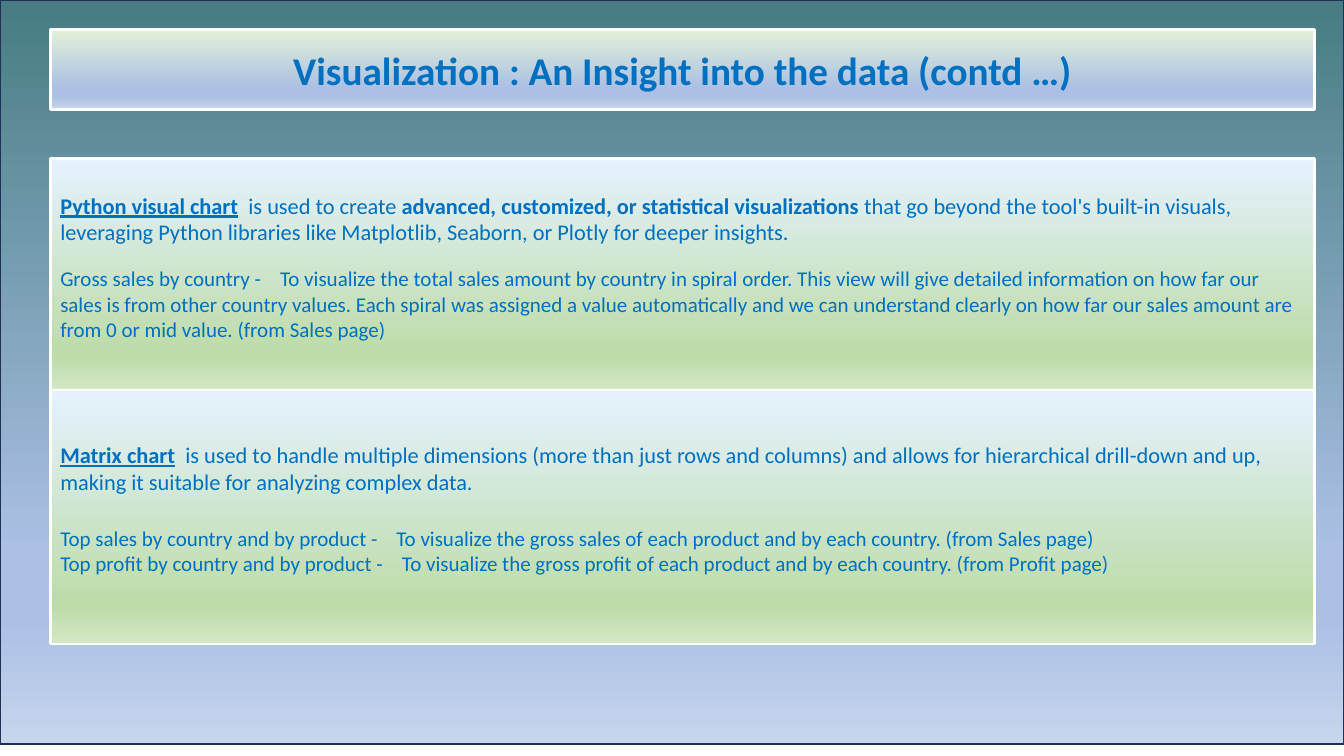
"""Build the slide on visualization insights: a title bar above two chart descriptions."""
import pptx
import pptx.util
import pptx.dml.color
import pptx.enum.shapes
import pptx.enum.text
import pptx.oxml.ns
from lxml import etree

Cm, Pt = pptx.util.Cm, pptx.util.Pt
RGBColor = pptx.dml.color.RGBColor
qn = pptx.oxml.ns.qn
RECTANGLE = pptx.enum.shapes.MSO_SHAPE.RECTANGLE

BLUE = RGBColor(0x00, 0x70, 0xC0)
WHITE = RGBColor(0xFF, 0xFF, 0xFF)
NAVY = RGBColor(0x1E, 0x32, 0x56)
TEAL = RGBColor(0x46, 0x7C, 0x82)
MINT = RGBColor(0xE2, 0xF0, 0xD9)
PERIWINKLE = RGBColor(0xAB, 0xC0, 0xE4)
PALE_BLUE = RGBColor(0xC7, 0xD5, 0xED)
ICE = RGBColor(0xE6, 0xF2, 0xFF)
GREEN = RGBColor(0xBE, 0xDC, 0xAA)
PALE_GREEN = RGBColor(0xD4, 0xE8, 0xC6)

BLUE_END = [(74, PERIWINKLE), (83, PERIWINKLE), (100, PALE_BLUE)]
BACKDROP_STOPS = [(0, TEAL)] + BLUE_END
TITLE_STOPS = [(0, MINT)] + BLUE_END
PANEL_STOPS = [(0, ICE), (83, GREEN), (86, GREEN), (100, PALE_GREEN)]

LEFT, WIDTH = Cm(1.27), Cm(31.85)
HEADING = {"bold": True, "underline": True}
BOLD = {"bold": True}
PLAIN = {"bold": False}


def paint(s, stops, line_color, line_width):
    """Give a shape a top-to-bottom gradient and an outline."""
    s.shadow.inherit = False
    s.fill.gradient()
    s.fill.gradient_angle = 270
    gradient = s._element.spPr.find(qn("a:gradFill")).find(qn("a:gsLst"))
    for gs in list(gradient):
        gradient.remove(gs)
    for percent, color in stops:
        gs = etree.SubElement(gradient, qn("a:gs"), pos=str(percent * 1000))
        etree.SubElement(gs, qn("a:srgbClr"), val=str(color))
    s.line.color.rgb = line_color
    s.line.width = Pt(line_width)


def add_text(p, text, size, formats):
    """Add a blue Calibri run with the given format values."""
    r = p.add_run()
    r.text = text
    r.font.color.rgb = BLUE
    for name, value in {"name": "Calibri", "size": Pt(size), **formats}.items():
        setattr(r.font, name, value)


prs = pptx.Presentation()
prs.slide_width, prs.slide_height = Cm(33.87), Cm(19.05)
slide = prs.slides.add_slide(prs.slide_layouts[5])

backdrop = slide.shapes.add_shape(RECTANGLE, 0, 0, prs.slide_width, Cm(18.75))
paint(backdrop, BACKDROP_STOPS, NAVY, 1)

# Each paragraph: size, space before, tab stop in cm, runs
panels = [
    (3.99, 5.84, 0.84, [
        (16, 0, 4.74, [
            ("Python visual chart", HEADING),
            ("\tis used to create ", PLAIN),
            ("advanced, customized, or statistical visualizations", BOLD),
            (" that go beyond the tool's built-in visuals, leveraging Python libraries "
             "like Matplotlib, Seaborn, or Plotly for deeper insights.", PLAIN)]),
        (15, 14.6, 5.54, [
            ("Gross sales by country -\tTo visualize the total sales amount by country in "
             "spiral order. This view will give detailed information on how far our sales is "
             "from other country values. Each spiral was assigned a value automatically and "
             "we can understand clearly on how far our sales amount are from 0 or mid value. "
             "(from Sales page)", PLAIN)]),
    ]),
    (9.83, 6.4, 1.28, [
        (16, 0, 3.15, [
            ("Matrix chart", HEADING),
            ("\tis used to handle multiple dimensions (more than just rows and columns) and "
             "allows for hierarchical drill-down and up, making it suitable for analyzing "
             "complex data.", PLAIN)]),
        (15, 22, 8.47, [
            ("Top sales by country and by product -\tTo visualize the gross sales of each "
             "product and by each country. (from Sales page)", PLAIN)]),
        (15, 0, 8.61, [
            ("Top profit by country and by product -\tTo visualize the gross profit of each "
             "product and by each country. (from Profit page)", PLAIN)]),
    ]),
]

for top, height, inset, paragraphs in panels:
    s = slide.shapes.add_shape(RECTANGLE, LEFT, Cm(top), WIDTH, Cm(height))
    paint(s, PANEL_STOPS, WHITE, 2)
    tf = s.text_frame
    for name, value in {"word_wrap": True, "margin_top": Cm(inset),
                        "margin_left": Cm(0.25), "margin_right": Cm(0.25),
                        "vertical_anchor": pptx.enum.text.MSO_ANCHOR.TOP}.items():
        setattr(tf, name, value)
    for i, (size, gap, tab, runs) in enumerate(paragraphs):
        p = tf.add_paragraph() if i else tf.paragraphs[0]
        tabs = etree.SubElement(p._p.get_or_add_pPr(), qn("a:tabLst"))
        etree.SubElement(tabs, qn("a:tab"), pos=str(Cm(tab)), algn="l")
        p.alignment = pptx.enum.text.PP_ALIGN.LEFT
        p.space_before = Pt(gap)
        for text, formats in runs:
            add_text(p, text, size, formats)

title = slide.shapes.title
title.left, title.top, title.width, title.height = LEFT, Cm(0.74), WIDTH, Cm(2.03)
outline = etree.SubElement(title._element.spPr, qn("a:prstGeom"), prst="roundRect")
etree.SubElement(outline, qn("a:avLst"))
paint(title, TITLE_STOPS, WHITE, 2)
tf = title.text_frame
tf.auto_size = pptx.enum.text.MSO_AUTO_SIZE.NONE
tf.vertical_anchor = pptx.enum.text.MSO_ANCHOR.MIDDLE
p = tf.paragraphs[0]
p.alignment = pptx.enum.text.PP_ALIGN.CENTER
add_text(p, "Visualization : An Insight into the data (contd …)", 28, BOLD)
slide.shapes._spTree.append(title._element)

prs.save("out.pptx")
